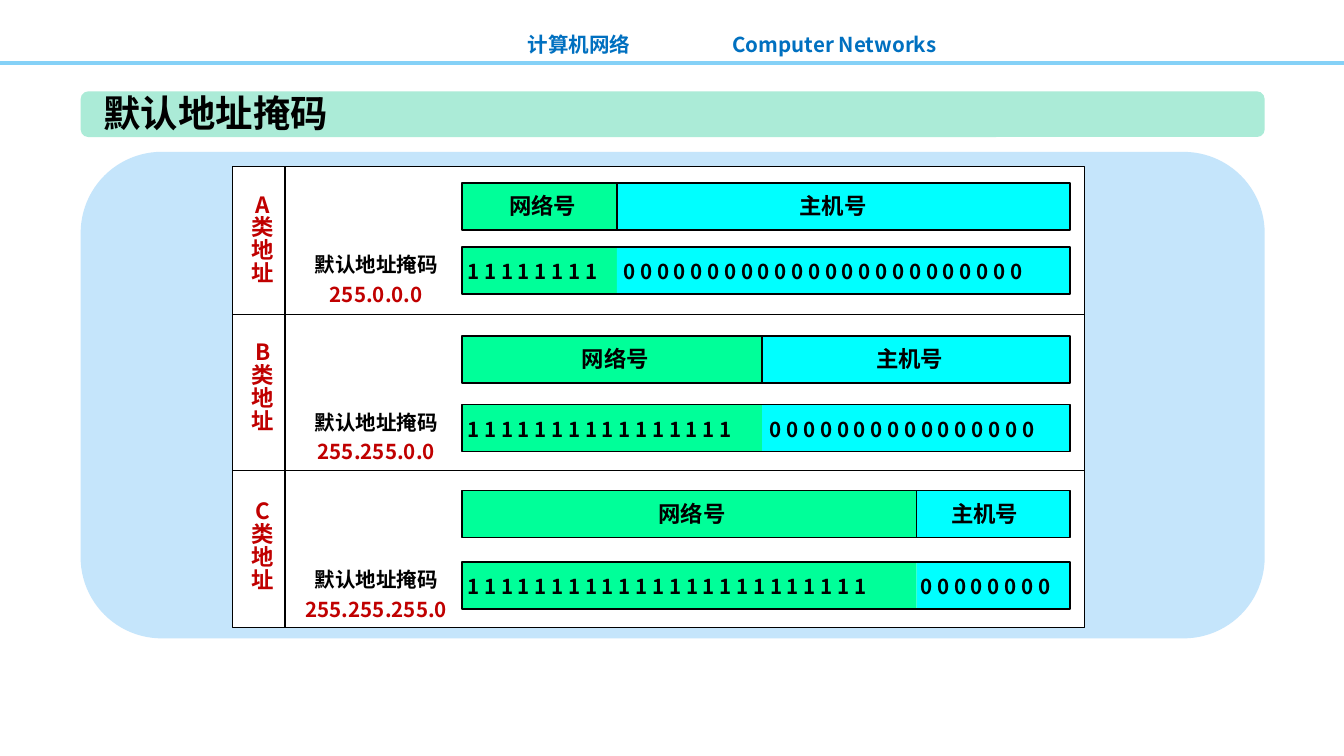
from dataclasses import dataclass

from lxml import etree
from pptx import Presentation
from pptx.dml.color import RGBColor
from pptx.enum.shapes import MSO_CONNECTOR, MSO_SHAPE
from pptx.enum.text import MSO_ANCHOR, MSO_AUTO_SIZE, PP_ALIGN
from pptx.oxml.ns import qn
from pptx.util import Inches, Pt

RECT, ROUND = MSO_SHAPE.RECTANGLE, MSO_SHAPE.ROUNDED_RECTANGLE
LEFT, MID, RIGHT = PP_ALIGN.LEFT, PP_ALIGN.CENTER, PP_ALIGN.RIGHT
FONT = "Noto Sans CJK SC"
BLACK, WHITE, RED, BLUE = "000000", "FFFFFF", "C00000", "0070C0"
GREEN, CYAN = "00FF99", "00FFFF"
BAR_X, BAR_W, BAR_H = 3.44, 4.52, 0.35
TAG_W = 0.7


@dataclass
class Class:
    name: str
    mask: str
    octets: int      # octets in the network part
    split: float     # where the host part starts
    top: float       # top of the address bar
    low: float       # top of the mask bar
    net: float       # left of the network label
    host: float      # left of the host label
    zeros: float     # left of the host bits
    side: float      # top of the class name


CLASSES = [
    Class("A", "255.0.0.0", 1, 4.59, 1.36, 1.84, 3.69, 5.85, 4.54, 1.4),
    Class("B", "255.255.0.0", 2, 5.67, 2.5, 3.01, 4.23, 6.42, 5.63, 2.5),
    Class("C", "255.255.255.0", 3, 6.82, 3.65, 4.18, 4.8, 6.98, 6.75, 3.68),
]


def color(code: str) -> RGBColor:
    return RGBColor.from_string(code)


def write(frame, text: str, *, size: float = 11, inks=(BLACK,), align=LEFT,
          space=None, wrap: bool = False, anchor=MSO_ANCHOR.TOP) -> None:
    """Fill a text frame, one paragraph a line; the last ink carries on."""
    frame.word_wrap = wrap
    frame.auto_size = MSO_AUTO_SIZE.NONE
    frame.vertical_anchor = anchor
    for i, line in enumerate(text.split("\n")):
        para = frame.paragraphs[0] if i == 0 else frame.add_paragraph()
        para.alignment = align
        if space:
            para.line_spacing = space
        run = para.add_run()
        run.text = line
        font = run.font
        font.size, font.bold, font.name = Pt(size), True, FONT
        font.color.rgb = color(inks[min(i, len(inks) - 1)])
        east = etree.SubElement(run._r.get_or_add_rPr(), qn("a:ea"))
        east.set("typeface", FONT)


def label(slide, text: str, x: float, y: float, w: float, h: float, **style):
    box = slide.shapes.add_textbox(Inches(x), Inches(y), Inches(w), Inches(h))
    write(box.text_frame, text, **style)


def block(slide, x: float, y: float, w: float, h: float, fill=None,
          edge=None, width: float = 1, kind=RECT):
    shape = slide.shapes.add_shape(
        kind, Inches(x), Inches(y), Inches(w), Inches(h))
    shape.shadow.inherit = False
    if fill:
        shape.fill.solid()
        shape.fill.fore_color.rgb = color(fill)
    else:
        shape.fill.background()
    if edge:
        shape.line.color.rgb = color(edge)
        shape.line.width = Pt(width)
    else:
        shape.line.fill.background()
    return shape


def rule(slide, x1: float, y1: float, x2: float, y2: float,
         ink: str = BLACK, width: float = 0.75) -> None:
    line = slide.shapes.add_connector(
        MSO_CONNECTOR.STRAIGHT, Inches(x1), Inches(y1), Inches(x2), Inches(y2))
    line.line.color.rgb = color(ink)
    line.line.width = Pt(width)
    etree.SubElement(line.element.spPr, qn("a:effectLst"))


def bar(slide, y: float, split: float) -> None:
    """Draw a framed bar: network part green, host part cyan."""
    end = BAR_X + BAR_W
    block(slide, BAR_X, y, split - BAR_X, BAR_H, GREEN)
    block(slide, split, y, end - split, BAR_H, CYAN)
    block(slide, BAR_X, y, BAR_W, BAR_H, edge=BLACK)


def bits(digit: str, octets: int) -> str:
    return " ".join(digit * 8 * octets)


def draw(slide, row: Class) -> None:
    bar(slide, row.top, row.split)
    rule(slide, row.split, row.top, row.split, row.top + BAR_H, width=1)
    for text, x in (("网络号", row.net), ("主机号", row.host)):
        label(slide, text, x, row.top + 0.02, TAG_W, 0.3, size=12)

    bar(slide, row.low, row.split)
    for digit, count, x in (("1", row.octets, 3.38),
                            ("0", 4 - row.octets, row.zeros)):
        label(slide, bits(digit, count), x, row.low + 0.04,
              0.16 + 1.12 * count, 0.28)

    label(slide, "\n".join(row.name + "类地址"), 1.77, row.side, 0.37, 0.79,
          size=12, inks=(RED,), align=MID, space=0.85)
    label(slide, "默认地址掩码\n" + row.mask, 2.16, row.low - 0.05, 1.28, 0.55,
          inks=(BLACK, RED), align=MID, space=Pt(16))


def main() -> None:
    deck = Presentation()
    deck.slide_width = Inches(10)
    deck.slide_height = deck.slide_width * 9 // 16
    slide = deck.slides.add_slide(deck.slide_layouts[5])

    label(slide, "计算机网络", 3.7, 0.19, 1.09, 0.29, inks=(BLUE,), align=RIGHT,
          wrap=True)
    rule(slide, 0, 0.47, 10, 0.47, "85D1F7", 2)
    label(slide, "Computer Networks", 5.3, 0.19, 1.77, 0.29,
          inks=(BLUE,), align=RIGHT)

    block(slide, 0.6, 1.13, 8.81, 3.62, "C5E5FB", kind=ROUND)
    band = block(slide, 0.6, 0.68, 8.81, 0.34, "ABEBD7", kind=ROUND)
    title = slide.shapes.title
    title.left, title.top = Inches(0.67), Inches(0.62)
    title.width, title.height = Inches(1.88), Inches(0.44)
    write(title.text_frame, "默认地址掩码", size=20, anchor=MSO_ANCHOR.MIDDLE)
    band.element.addnext(title.element)

    block(slide, 1.73, 1.24, 6.34, 3.43, WHITE, BLACK, 0.75)
    for row in CLASSES:
        draw(slide, row)
    for y in (2.34, 3.5):
        rule(slide, 1.73, y, 8.07, y)
    rule(slide, 2.12, 1.24, 2.12, 4.67)

    deck.save("out.pptx")


if __name__ == "__main__":
    main()
